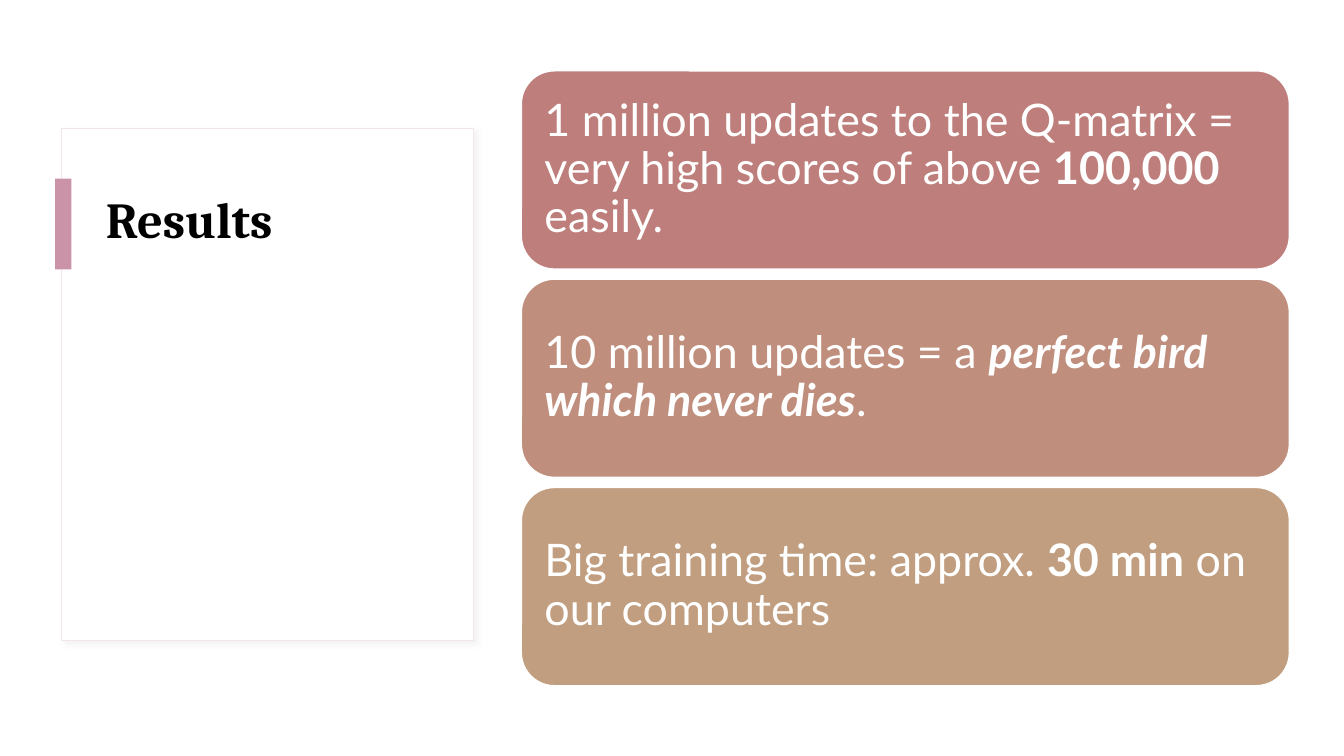
from lxml.etree import SubElement
from pptx import Presentation
from pptx.dml.color import RGBColor
from pptx.enum.shapes import MSO_SHAPE
from pptx.enum.text import MSO_ANCHOR, MSO_AUTO_SIZE, PP_ALIGN
from pptx.oxml.ns import qn
from pptx.util import Pt

WHITE = RGBColor(0xFF, 0xFF, 0xFF)
BLACK = RGBColor(0x00, 0x00, 0x00)
PALE = RGBColor(0xF0, 0xE5, 0xE9)
PINK = RGBColor(0xCA, 0x93, 0xA7)
ROSE = RGBColor(0xBE, 0x7E, 0x7B)
CLAY = RGBColor(0xBF, 0x8E, 0x7D)
SAND = RGBColor(0xC0, 0x9E, 0x7F)
SHADE = RGBColor(0xD9, 0xD9, 0xD9)


def block(kind, left, top, width, height, fill, line=None):
    shape = slide.shapes.add_shape(kind, Pt(left), Pt(top), Pt(width), Pt(height))
    shape.shadow.inherit = False
    shape.fill.solid()
    shape.fill.fore_color.rgb = fill
    if line is None:
        shape.line.fill.background()
    else:
        shape.line.color.rgb = line
        shape.line.width = Pt(1)
    return shape


def write(para, text, font, size, color, bold=False, slant=False):
    run = para.add_run()
    run.text = text
    run.font.name = font
    run.font.size = Pt(size)
    run.font.color.rgb = color
    run.font.bold = bold
    run.font.italic = slant


deck = Presentation()
deck.slide_width, deck.slide_height = Pt(960), Pt(540)
slide = deck.slides.add_slide(deck.slide_layouts[5])

panel = block(MSO_SHAPE.RECTANGLE, 44, 91.6, 294.4, 365.8, WHITE, PALE)
glow = panel.element.spPr.find(qn("a:effectLst"))
shade = SubElement(glow, qn("a:outerShdw"), blurRad=str(Pt(4)), dist=str(Pt(3)),
                   dir=str(45 * 60000), algn="tl", rotWithShape="0")
tint = SubElement(shade, qn("a:srgbClr"), val=str(SHADE))
SubElement(tint, qn("a:alpha"), val="30000")

title = slide.shapes.title
panel.element.addnext(title.element)
title.left, title.top = Pt(68.4), Pt(135.4)
title.width, title.height = Pt(244), Pt(277.2)
frame = title.text_frame
frame.word_wrap = True
frame.auto_size = MSO_AUTO_SIZE.NONE
frame.vertical_anchor = MSO_ANCHOR.TOP
para = frame.paragraphs[0]
para.alignment = PP_ALIGN.LEFT
para.line_spacing = 0.9
write(para, "Results", "Cambria", 36, BLACK, True)

block(MSO_SHAPE.RECTANGLE, 39.5, 127.6, 11.5, 64.8, PINK)

cards = [
    (ROSE, [("1 million updates to the Q-matrix = very high scores of above ", False, False),
            ("100,000", True, False), (" easily.", False, False)]),
    (CLAY, [("10 million updates = a ", False, False),
            ("perfect bird which never dies", True, True), (".", False, False)]),
    (SAND, [("Big training time: approx. ", False, False),
            ("30 min", True, False), (" on our computers", False, False)]),
]
for row, (fill, runs) in enumerate(cards):
    card = block(MSO_SHAPE.ROUNDED_RECTANGLE, 372.4, 50.6 + row * 148.8, 548.6, 141.6, fill, WHITE)
    frame = card.text_frame
    frame.word_wrap = True
    frame.vertical_anchor = MSO_ANCHOR.MIDDLE
    frame.margin_left = frame.margin_right = Pt(9.6)
    frame.margin_top = frame.margin_bottom = Pt(9.6)
    para = frame.paragraphs[0]
    para.alignment = PP_ALIGN.LEFT
    para.line_spacing = 0.9
    for text, bold, slant in runs:
        write(para, text, "Lato", 32, WHITE, bold, slant)

deck.save("out.pptx")
